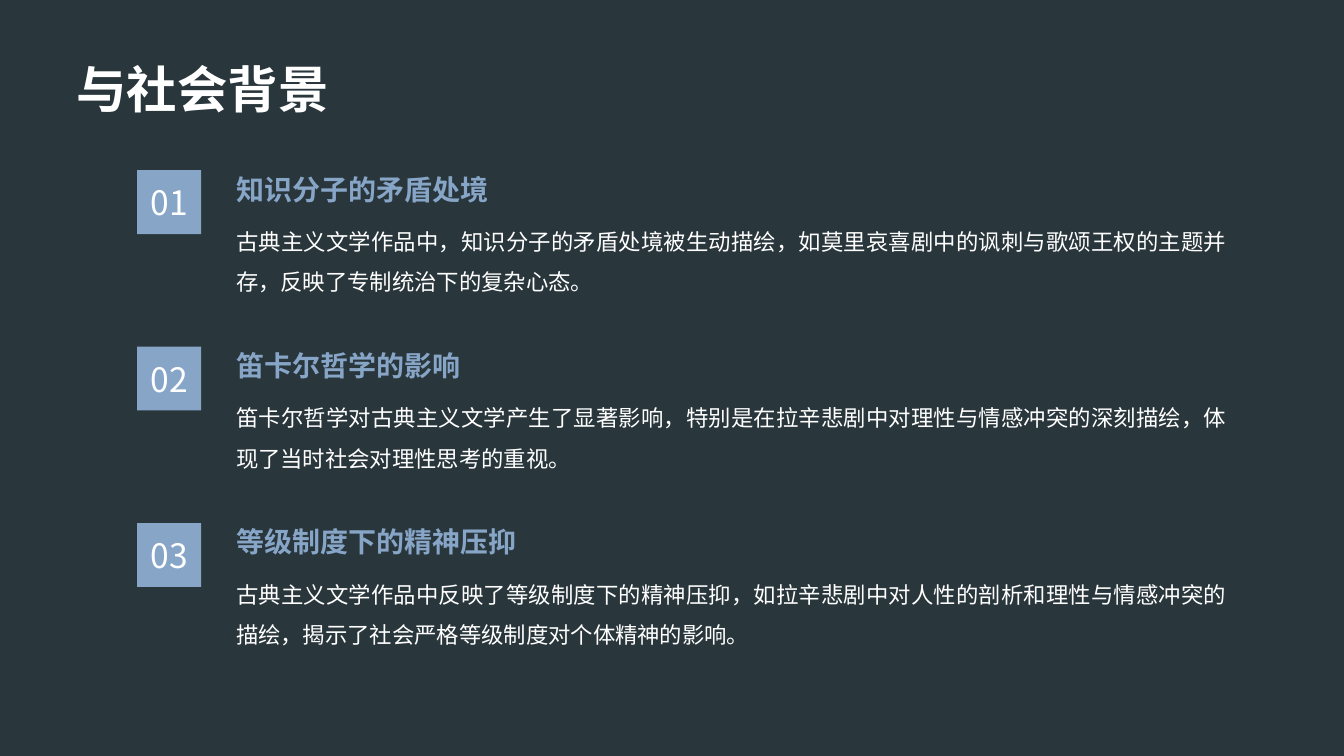
import pptx
import pptx.dml.color
import pptx.enum.shapes
import pptx.enum.text
import pptx.oxml
import pptx.oxml.ns
import pptx.util
from pptx.enum.text import MSO_ANCHOR, PP_ALIGN
from pptx.util import Pt

FONT = "Noto Sans CJK SC"
COLORS = {"background": "29363B", "accent": "87A5C7", "text": "FFFFFF"}

TITLE = "与社会背景"
POINTS = [
    ("知识分子的矛盾处境",
     "古典主义文学作品中，知识分子的矛盾处境被生动描绘，如莫里哀喜剧中的讽刺与歌颂王权的主题并存，反映了专制统治下的复杂心态。"),
    ("笛卡尔哲学的影响",
     "笛卡尔哲学对古典主义文学产生了显著影响，特别是在拉辛悲剧中对理性与情感冲突的深刻描绘，体现了当时社会对理性思考的重视。"),
    ("等级制度下的精神压抑",
     "古典主义文学作品中反映了等级制度下的精神压抑，如拉辛悲剧中对人性的剖析和理性与情感冲突的描绘，揭示了社会严格等级制度对个体精神的影响。"),
]

FIRST_TOP = 116.6
ROW_PITCH = 126
BADGE_LEFT, BADGE_SIZE, BADGE_DROP = 98, 45.6, 5
TEXT_LEFT, TEXT_WIDTH = 168.6, 708.5
HEADING_HEIGHT, BODY_HEIGHT = 36.8, 82.8


def rgb(color):
    return pptx.dml.color.RGBColor.from_string(COLORS[color])


def write(shape, text, size, color="text", bold=False, align=PP_ALIGN.JUSTIFY,
          anchor=MSO_ANCHOR.MIDDLE, line_spacing=None):
    """Fill a shape with one paragraph, without margins, in the slide's font."""
    frame = shape.text_frame
    frame.text = text
    frame.word_wrap = True
    frame.auto_size = pptx.enum.text.MSO_AUTO_SIZE.NONE
    frame.vertical_anchor = anchor
    frame.margin_left = frame.margin_top = frame.margin_right = frame.margin_bottom = 0
    paragraph = frame.paragraphs[0]
    paragraph.alignment = align
    if line_spacing:
        paragraph.line_spacing = line_spacing
    font = paragraph.font
    font.size = Pt(size)
    font.bold = bold
    font.color.rgb = rgb(color)
    font.name = FONT
    # East Asian glyphs need their own typeface entry after the Latin one.
    latin = paragraph._p.find(".//" + pptx.oxml.ns.qn("a:latin"))
    latin.addnext(pptx.oxml.parse_xml(
        f'<a:ea {pptx.oxml.ns.nsdecls("a")} typeface="{FONT}"/>'))


def add_title(slide):
    title = slide.shapes.title
    title.left, title.top = Pt(54.7), Pt(28)
    title.width, title.height = Pt(850.3), Pt(57)
    write(title, TITLE, 36, bold=True, align=PP_ALIGN.LEFT, anchor=MSO_ANCHOR.BOTTOM)


def add_badge(slide, top, number):
    badge = slide.shapes.add_shape(
        pptx.enum.shapes.MSO_SHAPE.RECTANGLE,
        Pt(BADGE_LEFT), Pt(top), Pt(BADGE_SIZE), Pt(BADGE_SIZE))
    badge.shadow.inherit = False
    badge.fill.solid()
    badge.fill.fore_color.rgb = rgb("accent")
    badge.line.fill.background()
    write(badge, f"{number:02d}", 24, align=PP_ALIGN.CENTER)


def add_text(slide, top, height, text, size, **style):
    box = slide.shapes.add_textbox(Pt(TEXT_LEFT), Pt(top), Pt(TEXT_WIDTH), Pt(height))
    write(box, text, size, **style)


def add_point(slide, number, heading, body):
    top = FIRST_TOP + (number - 1) * ROW_PITCH
    add_text(slide, top + HEADING_HEIGHT, BODY_HEIGHT, body, 16,
             anchor=MSO_ANCHOR.TOP, line_spacing=1.5)
    add_text(slide, top, HEADING_HEIGHT, heading, 20, color="accent", bold=True)
    add_badge(slide, top + BADGE_DROP, number)


def main():
    deck = pptx.Presentation()
    deck.slide_width, deck.slide_height = Pt(960), Pt(540)
    slide = deck.slides.add_slide(deck.slide_layouts[5])
    slide.background.fill.solid()
    slide.background.fill.fore_color.rgb = rgb("background")
    add_title(slide)
    for number, (heading, body) in enumerate(POINTS, start=1):
        add_point(slide, number, heading, body)
    deck.save("out.pptx")


if __name__ == "__main__":
    main()
